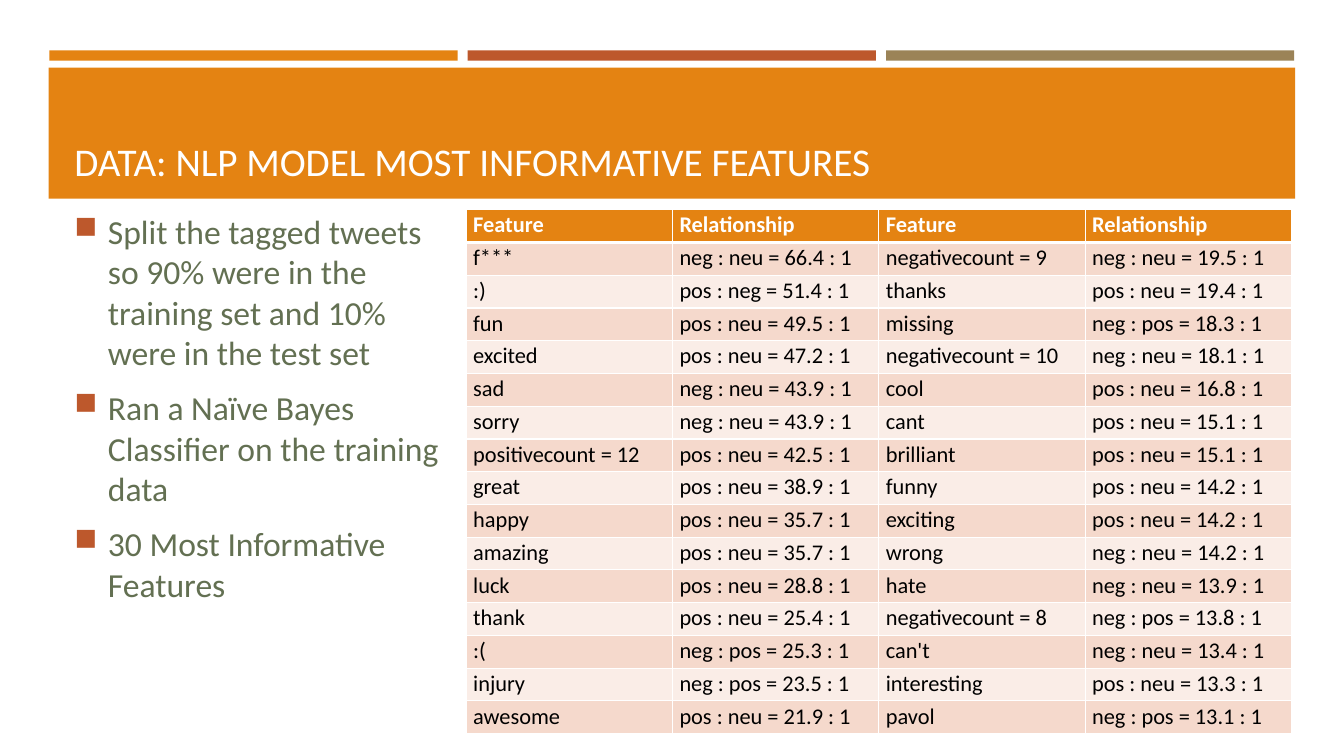
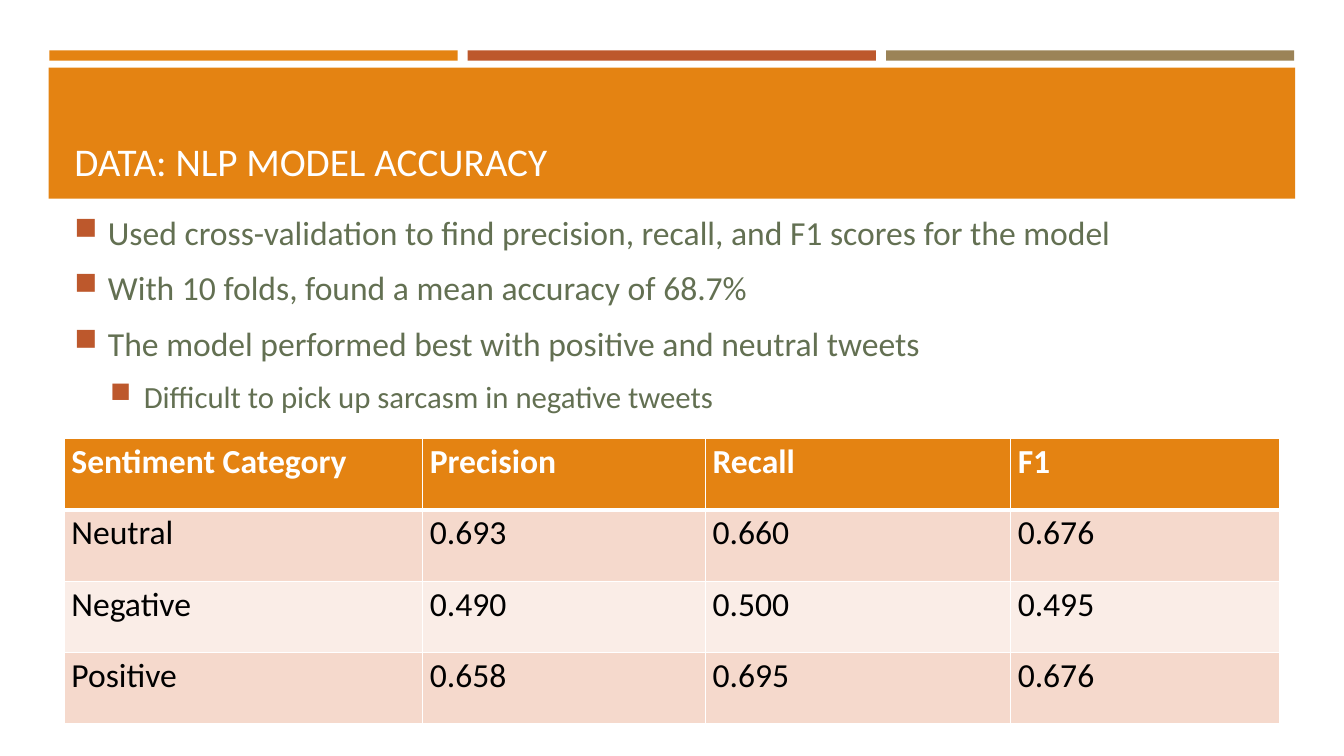
"""Build two slides on an NLP model: its top features and its accuracy."""
from lxml import etree
from pptx import Presentation, oxml, util as u
from pptx.dml.color import RGBColor
from pptx.enum import shapes, text
from pptx.oxml import ns

FONT = "Calibri"
ORANGE = RGBColor(0xE4, 0x83, 0x12)
RUST = RGBColor(0xBD, 0x58, 0x2C)
TAN = RGBColor(0x9B, 0x83, 0x57)
GREEN = RGBColor(0x63, 0x70, 0x52)
PINK = RGBColor(0xF5, 0xD9, 0xCC)
PALE = RGBColor(0xFA, 0xED, 0xE7)
WHITE = RGBColor(0xFF, 0xFF, 0xFF)
BLACK = RGBColor(0, 0, 0)

FEATS = [
    ("f***", "neg : neu = 66.4 : 1", "negativecount = 9", "neg : neu = 19.5 : 1"),
    (":)", "pos : neg = 51.4 : 1", "thanks", "pos : neu = 19.4 : 1"),
    ("fun", "pos : neu = 49.5 : 1", "missing", "neg : pos = 18.3 : 1"),
    ("excited", "pos : neu = 47.2 : 1", "negativecount = 10", "neg : neu = 18.1 : 1"),
    ("sad", "neg : neu = 43.9 : 1", "cool", "pos : neu = 16.8 : 1"),
    ("sorry", "neg : neu = 43.9 : 1", "cant", "pos : neu = 15.1 : 1"),
    ("positivecount = 12", "pos : neu = 42.5 : 1", "brilliant", "pos : neu = 15.1 : 1"),
    ("great", "pos : neu = 38.9 : 1", "funny", "pos : neu = 14.2 : 1"),
    ("happy", "pos : neu = 35.7 : 1", "exciting", "pos : neu = 14.2 : 1"),
    ("amazing", "pos : neu = 35.7 : 1", "wrong", "neg : neu = 14.2 : 1"),
    ("luck", "pos : neu = 28.8 : 1", "hate", "neg : neu = 13.9 : 1"),
    ("thank", "pos : neu = 25.4 : 1", "negativecount = 8", "neg : pos = 13.8 : 1"),
    (":(", "neg : pos = 25.3 : 1", "can't", "neg : neu = 13.4 : 1"),
    ("injury", "neg : pos = 23.5 : 1", "interesting", "pos : neu = 13.3 : 1"),
    ("awesome", "pos : neu = 21.9 : 1", "pavol", "neg : pos = 13.1 : 1"),
]
SCORES = [
    ("Neutral", "0.693", "0.660", "0.676"),
    ("Negative", "0.490", "0.500", "0.495"),
    ("Positive", "0.658", "0.695", "0.676"),
]
PAGES = [
    dict(
        title="DATA: NLP MODEL MOST INFORMATIVE FEATURES",
        body=(46, 98, 278, 386),
        points=[
            (0, "Split the tagged tweets so 90% were in the training set and 10% were in the test set"),
            (0, "Ran a Naïve Bayes Classifier on the training data"),
            (0, "30 Most Informative Features"),
        ],
        rows=[("Feature", "Relationship") * 2] + FEATS,
        spot=(333, 149.8), cols=[147.4] * 4, high=23.4, size=16,
    ),
    dict(
        title="DATA: NLP MODEL ACCURACY",
        body=(46, 36, 868, 375),
        points=[
            (0, "Used cross-validation to find precision, recall, and F1 scores for the model"),
            (0, "With 10 folds, found a mean accuracy of 68.7%"),
            (0, "The model performed best with positive and neutral tweets"),
            (1, "Difficult to pick up sarcasm in negative tweets"),
        ],
        rows=[("Sentiment Category", "Precision", "Recall", "F1")] + SCORES,
        spot=(46, 313.2), cols=[256, 202, 218, 192], high=51, size=24,
    ),
]


def put(par, words, size, color, bold=False, space=None, level=None):
    """Write one paragraph, with a square bullet when a level is given."""
    run = par.add_run()
    run.text = words
    font = run.font
    font.name, font.size, font.bold = FONT, u.Pt(size), bold
    font.color.rgb = color
    par.alignment = text.PP_ALIGN.LEFT
    if space:
        par.line_spacing = space
    if level is not None:
        par.level = level
        par.space_before, par.space_after = u.Pt(size / 5), u.Pt(6)
        prop = par._p.get_or_add_pPr()
        prop.set("marL", str(u.Pt(24 + 25.6 * level)))
        prop.set("indent", str(u.Pt(-24)))
        tint = etree.SubElement(prop, ns.qn("a:buClr"))
        etree.SubElement(tint, ns.qn("a:srgbClr"), val=str(RUST))
        etree.SubElement(prop, ns.qn("a:buSzPct"), val="92000")
        etree.SubElement(prop, ns.qn("a:buChar"), char="■")


def edge(cell, head):
    """Give a cell white borders, with a thick one below the head row."""
    prop = cell._tc.get_or_add_tcPr()
    for side in "LRTB":
        wide = 3 if head and side == "B" else 1
        prop.append(oxml.parse_xml(
            f'<a:ln{side} {ns.nsdecls("a")} w="{u.Pt(wide)}"><a:solidFill>'
            f'<a:srgbClr val="{WHITE}"/></a:solidFill></a:ln{side}>'))


deck = Presentation()
deck.slide_width, deck.slide_height = u.Pt(960), u.Pt(540)
base = deck.slide_layouts[5]
slides = [deck.slides.add_slide(base) for page in PAGES]

bands = [(35.3 + 298.8 * i, 36, 291.6, 7.4, c) for i, c in enumerate((ORANGE, RUST, TAN))]
bands.append((34.8, 48.4, 890.4, 93.6, ORANGE))
for *box, color in bands:
    band = slides[0].shapes.add_shape(shapes.MSO_SHAPE.RECTANGLE, *map(u.Pt, box))
    band.shadow.inherit = False
    band.fill.solid()
    band.fill.fore_color.rgb = color
    band.line.fill.background()
    base.shapes.element.append(band.element)

for slide, page in zip(slides, PAGES):
    title = slide.shapes.title
    title.left, title.top, title.width, title.height = map(u.Pt, (46, 55.4, 868, 80))
    frame = title.text_frame
    frame.vertical_anchor = text.MSO_ANCHOR.BOTTOM
    frame.auto_size = text.MSO_AUTO_SIZE.NONE
    put(frame.paragraphs[0], page["title"], size=28, color=WHITE)

    frame = slide.shapes.add_textbox(*map(u.Pt, page["body"])).text_frame
    frame.word_wrap = True
    frame.vertical_anchor = text.MSO_ANCHOR.MIDDLE
    for i, (level, words) in enumerate(page["points"]):
        par = frame.add_paragraph() if i else frame.paragraphs[0]
        put(par, words, size=24 - 2 * level, color=GREEN, level=level)

    rows, cols, high = page["rows"], page["cols"], page["high"]
    area = (*page["spot"], sum(cols), high * len(rows))
    table = slide.shapes.add_table(len(rows), len(cols), *map(u.Pt, area)).table
    for col, wide in zip(table.columns, cols):
        col.width = u.Pt(wide)
    for r, row in enumerate(rows):
        table.rows[r].height = u.Pt(high)
        head = r == 0
        for c, words in enumerate(row):
            cell = table.cell(r, c)
            edge(cell, head)
            cell.fill.solid()
            cell.fill.fore_color.rgb = ORANGE if head else PINK if r % 2 else PALE
            cell.margin_left = cell.margin_right = u.Pt(5)
            cell.margin_top = cell.margin_bottom = 0
            put(cell.text_frame.paragraphs[0], words, size=page["size"],
                color=WHITE if head else BLACK, bold=head, space=1.07)

deck.save("out.pptx")
